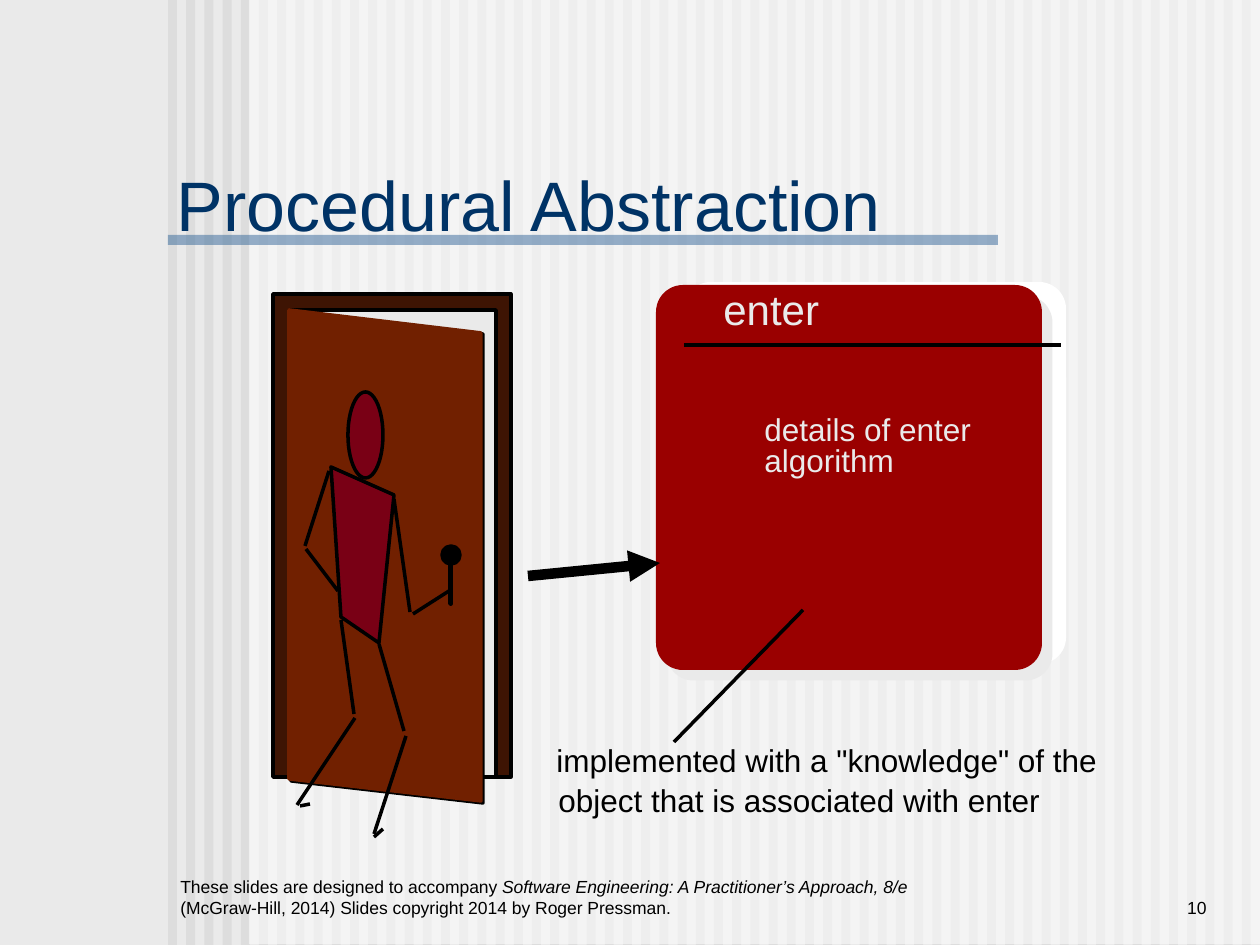
from lxml.etree import SubElement
from pptx import Presentation
from pptx.dml.color import RGBColor
from pptx.enum.shapes import MSO_CONNECTOR, MSO_SHAPE
from pptx.enum.text import MSO_ANCHOR, PP_ALIGN
from pptx.oxml import parse_xml
from pptx.oxml.ns import nsdecls, qn
from pptx.util import Pt

PX = 914400 / 126


def rgb(color):
    return RGBColor.from_string(color)


def style(s, fill=None, line=None, alpha=None):
    s.shadow.inherit = False
    if fill:
        s.fill.solid()
        s.fill.fore_color.rgb = rgb(fill)
    else:
        s.fill.background()
    if alpha:
        clr = s.fill._xPr.find(qn("a:solidFill"))[0]
        SubElement(clr, qn("a:alpha"), val=str(alpha * 1000))
    if line:
        s.line.color.rgb = rgb(line)
        s.line.width = Pt(2)
    else:
        s.line.fill.background()


prs = Presentation()
prs.slide_width = round(1260 * PX)
prs.slide_height = round(945 * PX)
slide = prs.slides.add_slide(prs.slide_layouts[6])
slide.background.fill.solid()
slide.background.fill.fore_color.rgb = rgb("EAEAEA")
shapes = slide.shapes

RECT, OVAL, ROUND = MSO_SHAPE.RECTANGLE, MSO_SHAPE.OVAL, MSO_SHAPE.ROUNDED_RECTANGLE
stripes = [(RECT, (168 + 18.2 * i, 0, 9, 945), "DDDDDD", None, None) for i in range(60)]
backdrop = [
    (RECT, (249, 0, 1011, 944), "FFFFFF", None, 50),
    (RECT, (168, 235, 830, 10), "336699", None, 50),
]
doorway = [
    (RECT, (273, 294, 238, 483), "3E1403", "000000", None),
    (RECT, (289, 310, 207, 467), "EAEAEA", "000000", None),
]
door = [
    ([(291, 311), (483, 334), (483, 803), (291, 781)], None, "000000", None),
    ([(289, 310), (481, 333), (481, 801), (289, 779)], "712000", "712000", None),
]
figure = [
    (OVAL, (442, 546, 18, 18), "000000", "000000", None),
    (RECT, (450, 562, 1, 42), "000000", "000000", None),
    (OVAL, (348, 392, 35, 86), "790015", "000000", None),
]
torso = [([(331, 467), (394, 495), (379, 643), (341, 617)], "790015", "000000", None)]
card = [
    (ROUND, (684, 282, 382, 382), "FFFFFF", None, None),
    (ROUND, (656, 285, 386, 385), "9A0000", None, None),
]

for kind, *rest in stripes + backdrop + doorway + door + figure + torso + card:
    if isinstance(kind, list):
        fb = shapes.build_freeform(*kind[0], scale=PX)
        fb.add_line_segments(kind[1:], close=True)
        s = fb.convert_to_shape()
    else:
        box, *rest = rest
        s = shapes.add_shape(kind, *[round(v * PX) for v in box])
        if kind == ROUND:
            s.adjustments[0] = 0.07
    style(s, *rest)

s._element.spPr.remove(s._element.spPr.find(qn("a:effectLst")))
s._element.spPr.append(parse_xml(
    f'<a:effectLst {nsdecls("a")}><a:outerShdw dist="107950" dir="2700000">'
    '<a:srgbClr val="EAEAEA"/></a:outerShdw></a:effectLst>'))

lines = [
    (394, 499, 410, 612), (413, 614, 449, 591),
    (329, 471, 305, 546), (306, 549, 338, 591),
    (379, 644, 404, 731), (406, 736, 374, 834), (374, 837, 383, 829),
    (341, 620, 354, 714), (355, 718, 297, 805), (300, 806, 310, 804),
    (684, 345, 1061, 345), (803, 610, 674, 742),
    (528, 576, 660, 563),
]
for ends in lines:
    s = shapes.add_connector(MSO_CONNECTOR.STRAIGHT, *[round(v * PX) for v in ends])
    s.line.color.rgb = rgb("000000")
    s.line.width = Pt(2)
    SubElement(s._element.spPr, qn("a:effectLst"))
s.line.width = Pt(6)
SubElement(s.line._get_or_add_ln(), qn("a:tailEnd"), type="triangle")

TOP, BOTTOM = MSO_ANCHOR.TOP, MSO_ANCHOR.BOTTOM
LEFT, RIGHT = PP_ALIGN.LEFT, PP_ALIGN.RIGHT
footer = [
    ("These slides are designed to accompany ", False),
    ("Software Engineering: A Practitioner’s Approach, 8/e ", True),
    ("(McGraw-Hill, 2014) Slides copyright 2014 by Roger Pressman.", False),
]
texts = [
    ((168, 861, 756, 63), footer, 10, "000000", BOTTOM, LEFT, True),
    ((1040, 861, 179, 63), [("10", False)], 10, "000000", BOTTOM, RIGHT, True),
    ((168, 158, 726, 91), [("Procedural Abstraction", False)], 40, "003366", TOP, LEFT, True),
    ((711, 277, 121, 63), [("enter", False)], 24, "EAEAEA", TOP, LEFT, False),
    ((544, 735, 583, 50), [('implemented with a "knowledge" of the', False)],
     18, "000000", TOP, LEFT, False),
    ((546, 775, 507, 50), [("object that is associated with enter", False)],
     18, "000000", TOP, LEFT, False),
    ((752, 404, 241, 50), [("details of enter", False)], 18, "EAEAEA", TOP, LEFT, False),
    ((752, 435, 155, 50), [("algorithm", False)], 18, "EAEAEA", TOP, LEFT, False),
]
for box, runs, size, color, anchor, align, wrap in texts:
    tf = shapes.add_textbox(*[round(v * PX) for v in box]).text_frame
    tf.word_wrap = wrap
    tf.vertical_anchor = anchor
    if size == 40:
        tf.margin_left = tf.margin_right = round(9 * PX)
        tf.margin_top = tf.margin_bottom = round(4 * PX)
    p = tf.paragraphs[0]
    p.alignment = align
    for text, italic in runs:
        r = p.add_run()
        r.text = text
        r.font.name = "Arial"
        r.font.size = Pt(size)
        r.font.italic = italic
        r.font.color.rgb = rgb(color)

prs.save("out.pptx")
